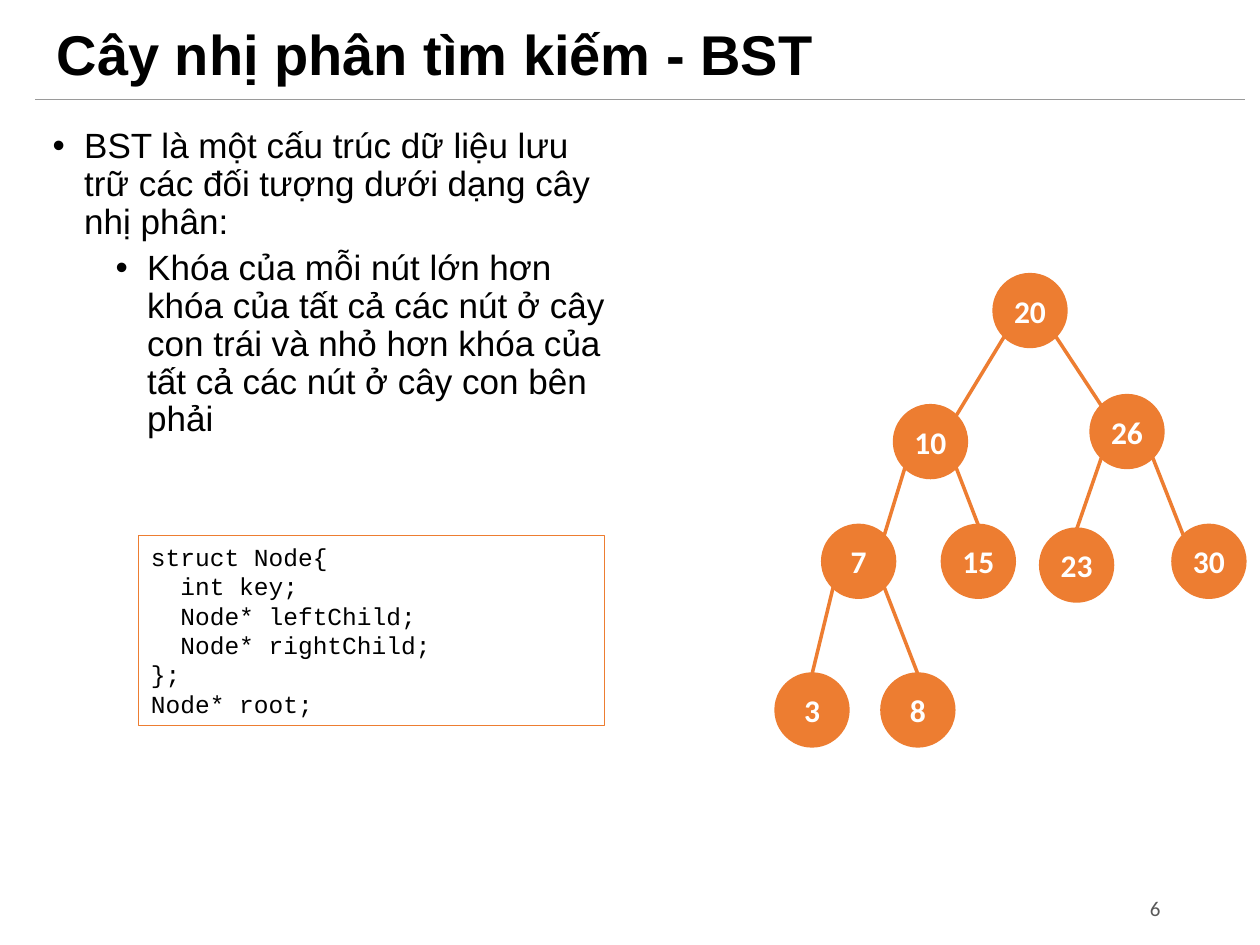
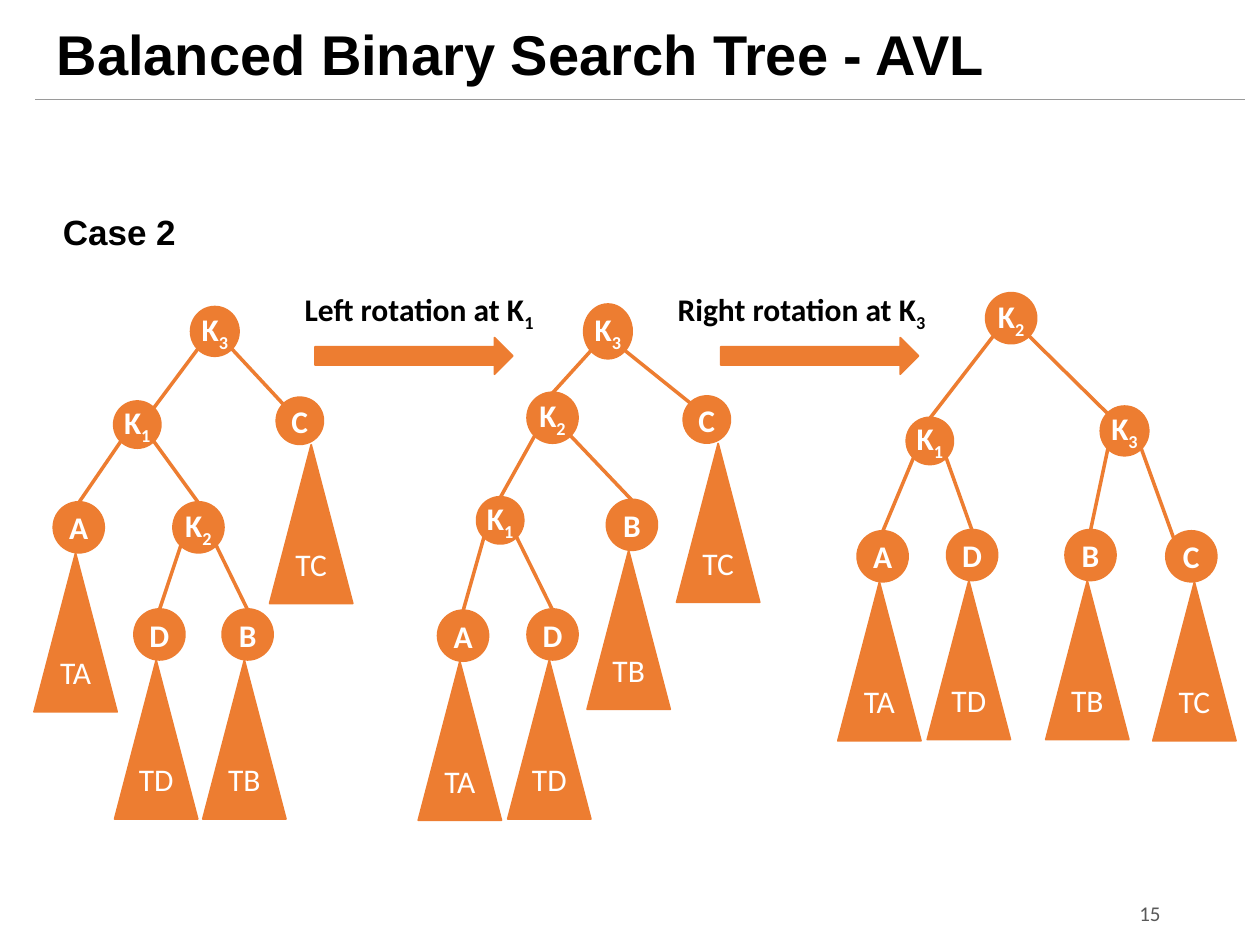
import math
from dataclasses import dataclass

from lxml import etree
from pptx import Presentation
from pptx import util as u
from pptx.dml.color import RGBColor
from pptx.enum import shapes, text
from pptx.oxml.ns import qn

ORANGE, WHITE, BLACK, GREY, RULE = "ED7D31", "FFFFFF", "000000", "595959", "9A9A9A"
LEFT, CENTER, RIGHT = text.PP_ALIGN.LEFT, text.PP_ALIGN.CENTER, text.PP_ALIGN.RIGHT
TOP, MIDDLE = text.MSO_ANCHOR.TOP, text.MSO_ANCHOR.MIDDLE


def color(value):
    return RGBColor.from_string(value)


def inches(*values):
    return [u.Inches(value) for value in values]


@dataclass
class Node:
    """A tree node; "_" in its label starts a subscript."""
    label: str
    left: float
    top: float
    width: float
    height: float
    parent: int = None      # index of the parent in the tree
    corner: bool = False    # the edge ends at the corner facing the parent
    subtree: str = ""
    shift: float = -0.16    # from the node's left to the subtree's left

    @property
    def center(self):
        return self.left + self.width / 2

    def rim(self, horizontal, vertical):
        """Point on the outline, 45 degrees off the axis unless horizontal is 0."""
        scale = math.sqrt(0.5) if horizontal else 1
        return (self.center + horizontal * scale * self.width / 2,
                self.top + self.height / 2 * (1 + vertical * scale))


class Deck:
    def __init__(self):
        self.presentation = Presentation()
        self.presentation.slide_width, self.presentation.slide_height = inches(10, 7.5)
        self.slide = None

    def add_slide(self, title, number, number_top):
        self.slide = self.presentation.slides.add_slide(self.presentation.slide_layouts[5])
        shape = self.slide.shapes.title
        shape.left, shape.top, shape.width, shape.height = inches(0.35, 0.13, 9.15, 0.65)
        self.set_frame(shape, MIDDLE)
        paragraph = shape.text_frame.paragraphs[0]
        paragraph.alignment = LEFT
        paragraph.line_spacing = 0.9
        self.add_runs(paragraph, title, 32, "Arial", BLACK, True)
        self.line((0.28, 0.79), (9.88, 0.79), RULE, 0.75)
        self.label((8.06, number_top, 1.25, 0.4), number, 12, "Calibri", GREY,
                   align=RIGHT, anchor=MIDDLE)

    def set_frame(self, shape, anchor=TOP, insets=(0.1, 0.05)):
        frame = shape.text_frame
        frame.word_wrap = True
        frame.auto_size = text.MSO_AUTO_SIZE.NONE
        frame.vertical_anchor = anchor
        frame.margin_left = frame.margin_right = u.Inches(insets[0])
        frame.margin_top = frame.margin_bottom = u.Inches(insets[1])
        return frame

    def add_runs(self, paragraph, content, size, font, fill, bold=False):
        for index, piece in enumerate(content.split("_")):
            run = paragraph.add_run()
            run.text = piece
            run.font.size = u.Pt(size)
            run.font.name = font
            run.font.bold = bold
            run.font.color.rgb = color(fill)
            if index:
                run.font._element.set("baseline", "-25000")

    def label(self, box, content, size, font, fill=BLACK, bold=False, align=LEFT, anchor=TOP):
        shape = self.slide.shapes.add_textbox(*inches(*box))
        paragraph = self.set_frame(shape, anchor).paragraphs[0]
        paragraph.alignment = align
        self.add_runs(paragraph, content, size, font, fill, bold)

    def bullets(self, box, items):
        frame = self.set_frame(self.slide.shapes.add_textbox(*inches(*box)))
        for index, (level, content) in enumerate(items):
            paragraph = frame.add_paragraph() if index else frame.paragraphs[0]
            paragraph.level = level
            properties = paragraph._p.get_or_add_pPr()
            properties.set("marL", str(u.Inches(0.25 + 0.5 * level)))
            properties.set("indent", str(u.Inches(-0.25)))
            etree.SubElement(properties, qn("a:buFont")).set("typeface", "Arial")
            etree.SubElement(properties, qn("a:buChar")).set("char", "•")
            paragraph.line_spacing = 0.9
            if index:
                paragraph.space_before = u.Pt(5)
            self.add_runs(paragraph, content, 20, "Arial", BLACK)

    def shape(self, kind, box, line_width, content="", bold=False, filled=True):
        shape = self.slide.shapes.add_shape(kind, *inches(*box))
        shape.shadow.inherit = False
        if filled:
            shape.fill.solid()
            shape.fill.fore_color.rgb = color(ORANGE)
        else:
            shape.fill.background()
        shape.line.color.rgb = color(ORANGE)
        shape.line.width = u.Pt(line_width)
        if content:
            paragraph = self.set_frame(shape, MIDDLE, (0, 0)).paragraphs[0]
            paragraph.alignment = CENTER
            self.add_runs(paragraph, content, 18, "Calibri", WHITE, bold)
        return shape

    def code(self, box, lines):
        shape = self.shape(shapes.MSO_SHAPE.RECTANGLE, box, 0.75, filled=False)
        frame = self.set_frame(shape)
        for index, content in enumerate(lines):
            paragraph = frame.add_paragraph() if index else frame.paragraphs[0]
            paragraph.alignment = LEFT
            self.add_runs(paragraph, content, 14, "Courier New", BLACK)

    def line(self, start, end, stroke=ORANGE, width=2):
        connector = self.slide.shapes.add_connector(
            shapes.MSO_CONNECTOR.STRAIGHT, *inches(*start, *end))
        connector.line.color.rgb = color(stroke)
        connector.line.width = u.Pt(width)
        etree.SubElement(connector._element.spPr, qn("a:effectLst"))

    def tree(self, nodes):
        for node in nodes:
            self.shape(shapes.MSO_SHAPE.FLOWCHART_CONNECTOR,
                       (node.left, node.top, node.width, node.height), 2, node.label, True)
            if node.subtree:
                self.shape(shapes.MSO_SHAPE.ISOSCELES_TRIANGLE,
                           (node.left + node.shift, node.top + node.height + 0.01, 0.66, 1.26),
                           1, node.subtree)
            if node.parent is not None:
                parent = nodes[node.parent]
                side = 1 if node.center > parent.center else -1
                self.line(parent.rim(side, 1), node.rim(-side if node.corner else 0, -1))

    def rotation(self, arrow_left, label_left, label_width, content):
        self.shape(shapes.MSO_SHAPE.RIGHT_ARROW, (arrow_left, 2.68, 1.57, 0.29), 1)
        self.label((label_left, 2.25, label_width, 0.4), content, 18, "Calibri", bold=True)


def search_tree_slide(deck):
    deck.add_slide("Cây nhị phân tìm kiếm - BST", "6", 7.01)
    deck.bullets((0.32, 0.97, 4.72, 5.47), [
        (0, "BST là một cấu trúc dữ liệu lưu trữ các đối tượng dưới dạng cây nhị phân:"),
        (1, "Khóa của mỗi nút lớn hơn khóa của tất cả các nút ở cây con trái "
            "và nhỏ hơn khóa của tất cả các nút ở cây con bên phải"),
    ])
    deck.code((1.1, 4.25, 3.7, 1.51), [
        "struct Node{", "  int key;", "  Node* leftChild;", "  Node* rightChild;",
        "};", "Node* root;"])

    # Keys: label, left, top, parent index, corner edge
    keys = [
        ("20", 7.89, 2.18, None, False),
        ("10", 7.1, 3.22, 0, True), ("26", 8.66, 3.14, 0, True),
        ("7", 6.53, 4.17, 1, True), ("15", 7.48, 4.17, 1, False),
        ("23", 8.26, 4.2, 2, False), ("30", 9.31, 4.17, 2, True),
        ("3", 6.16, 5.35, 3, False), ("8", 7, 5.35, 3, False),
    ]
    deck.tree([Node(key, left, top, 0.57, 0.57, parent, corner)
               for key, left, top, parent, corner in keys])


def rotation_slide(deck):
    deck.add_slide("Balanced Binary Search Tree - AVL", "15", 7.05)
    deck.label((0.4, 1.62, 8.69, 0.44), "Case 2", 20, "Arial", bold=True)

    small, large = (0.36, 0.36), (0.39, 0.39)
    # Before the rotations
    deck.tree([
        Node("K_3", 1.52, 2.44, 0.37, 0.38),
        Node("K_1", 0.91, 3.19, *small, 0, True),
        Node("C", 2.2, 3.16, *small, 0, True, "TC", -0.06),
        Node("A", 0.43, 3.99, *large, 1, subtree="TA"),
        Node("K_2", 1.38, 3.99, *large, 1),
        Node("D", 1.07, 4.84, *large, 4, subtree="TD"),
        Node("B", 1.77, 4.84, *large, 4, subtree="TB"),
    ])
    # After the left rotation
    deck.tree([
        Node("K_3", 4.64, 2.42, 0.37, 0.42),
        Node("K_2", 4.19, 3.12, *large, 0),
        Node("C", 5.43, 3.15, *small, 0, True, "TC", -0.06),
        Node("K_1", 3.79, 3.95, *small, 1),
        Node("B", 4.82, 3.97, *large, 1, subtree="TB"),
        Node("A", 3.48, 4.85, *large, 3, subtree="TA"),
        Node("D", 4.19, 4.84, *large, 3, subtree="TD"),
    ])
    # After the right rotation
    deck.tree([
        Node("K_2", 7.83, 2.33, *large),
        Node("K_1", 7.2, 3.32, *small, 0),
        Node("K_3", 8.74, 3.23, 0.37, 0.38, 0, True),
        Node("A", 6.81, 4.22, *large, 1, subtree="TA"),
        Node("D", 7.52, 4.21, *large, 1, subtree="TD"),
        Node("B", 8.46, 4.21, *large, 2, subtree="TB"),
        Node("C", 9.26, 4.22, *large, 2, True, "TC", -0.11),
    ])

    deck.rotation(2.5, 2.32, 2.13, "Left rotation at K_1")
    deck.rotation(5.72, 5.28, 2.24, "Right rotation at K_3")


def main():
    deck = Deck()
    search_tree_slide(deck)
    rotation_slide(deck)
    deck.presentation.save("out.pptx")


if __name__ == "__main__":
    main()
